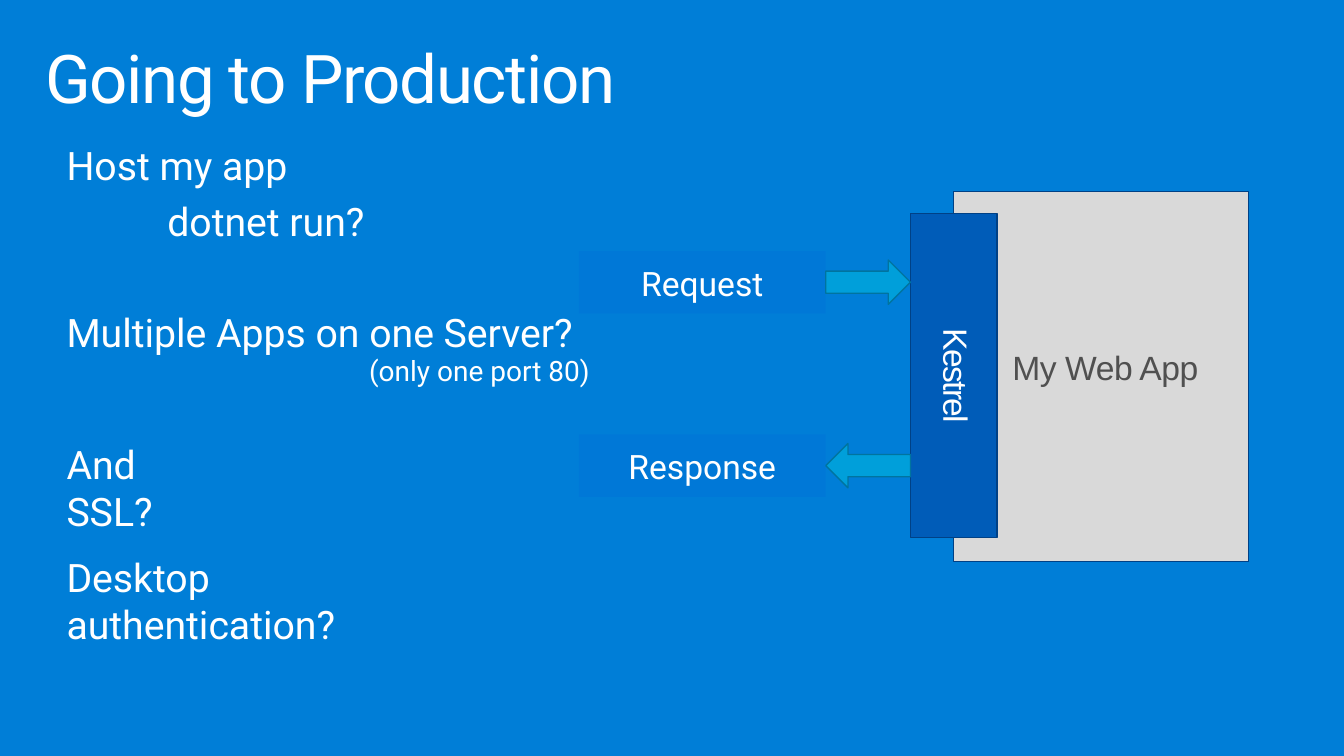
from dataclasses import dataclass

from lxml import etree
from pptx import Presentation
from pptx.dml.color import RGBColor
from pptx.enum import shapes, text
from pptx.oxml import ns
from pptx.util import Inches, Pt


@dataclass(frozen=True)
class Theme:
    background: str = "007ED7"
    light: str = "FFFFFF"
    dark: str = "505050"
    app: str = "D9D9D9"
    server: str = "005CB8"
    outline: str = "004186"
    arrow: str = "009FDA"
    arrow_outline: str = "00749F"
    label: str = "0078D7"
    font: str = "Roboto"
    diagram_font: str = "Arial"
    title_size: float = 48
    body_size: float = 28
    label_size: float = 24
    note_size: float = 20
    line_width: float = 0.96


@dataclass(frozen=True)
class Box:
    left: float
    top: float
    width: float
    height: float

    def lengths(self) -> list:
        return [Inches(v) for v in (self.left, self.top, self.width, self.height)]


@dataclass(frozen=True)
class Line:
    words: str
    size: float
    indent: float = 0.01
    before: float = 0.9
    spacing: float | Pt = 1.0


@dataclass(frozen=True)
class Question:
    box: Box
    lines: tuple[Line, ...]
    inset_top: float = 0.01


@dataclass(frozen=True)
class Message:
    words: str
    top: float
    arrow: shapes.MSO_SHAPE


THEME = Theme()
ARROW_HEIGHT = 0.44
LABEL_HEIGHT = 0.62

QUESTIONS = (
    Question(Box(0.65, 1.29, 3.31, 1.15),
             (Line("Host my app", THEME.body_size, before=7.8),
              Line("dotnet run?", THEME.body_size, indent=1.01, before=6.8)),
             inset_top=0.11),
    Question(Box(0.65, 3.06, 5.24, 0.8),
             (Line("Multiple Apps on one Server?", THEME.body_size, spacing=Pt(32.5)),
              Line("(only one port 80)", THEME.note_size, indent=3.01, before=0,
                   spacing=Pt(22.9)))),
    Question(Box(0.65, 4.36, 1.5, 0.95), (Line("And SSL?", THEME.body_size),)),
    Question(Box(0.65, 5.48, 4, 0.95), (Line("Desktop authentication?", THEME.body_size),)),
)

MESSAGES = (
    Message("Request", 2.49, shapes.MSO_SHAPE.RIGHT_ARROW),
    Message("Response", 4.31, shapes.MSO_SHAPE.LEFT_ARROW),
)


def place(shape, box: Box) -> None:
    shape.left, shape.top, shape.width, shape.height = box.lengths()


def set_frame(frame, insets=(0, 0, 0, 0), anchor=text.MSO_ANCHOR.TOP) -> None:
    """Insets are left, top, right, bottom in inches."""
    frame.word_wrap = True
    frame.auto_size = text.MSO_AUTO_SIZE.NONE
    frame.vertical_anchor = anchor
    (frame.margin_left, frame.margin_top,
     frame.margin_right, frame.margin_bottom) = map(Inches, insets)


def write(paragraph, words: str, *, size: float, color: str = THEME.light,
          font: str = THEME.font, align=text.PP_ALIGN.LEFT, indent: float = 0,
          before: float = 0, spacing=1.0, tracking: float = 0) -> None:
    paragraph.alignment = align
    paragraph.line_spacing = spacing
    paragraph.space_before = Pt(before)
    paragraph.space_after = Pt(0)
    properties = paragraph._p.get_or_add_pPr()
    properties.set("marL", str(Inches(indent)))
    properties.set("indent", "0")
    etree.SubElement(properties, ns.qn("a:buNone"))
    run = paragraph.add_run()
    run.text = words
    run.font.size = Pt(size)
    run.font.name = font
    run.font.bold = False
    run.font.color.rgb = RGBColor.from_string(color)
    if tracking:
        run._r.get_or_add_rPr().set("spc", str(round(tracking * 100)))


def add_block(slide, kind, box: Box, fill: str, outline: str | None = None):
    block = slide.shapes.add_shape(kind, *box.lengths())
    block.shadow.inherit = False
    block.fill.solid()
    block.fill.fore_color.rgb = RGBColor.from_string(fill)
    if outline:
        block.line.color.rgb = RGBColor.from_string(outline)
        block.line.width = Pt(THEME.line_width)
    else:
        block.line.fill.background()
    return block


def add_caption(slide, words: str, box: Box, *, vertical: bool = False, **style) -> None:
    frame = slide.shapes.add_textbox(*box.lengths()).text_frame
    set_frame(frame)
    if vertical:
        frame._txBody.bodyPr.set("vert", "vert")
    write(frame.paragraphs[0], words, size=THEME.label_size, font=THEME.diagram_font,
          indent=0.01, **style)


def fill_question(placeholder, question: Question) -> None:
    place(placeholder, question.box)
    frame = placeholder.text_frame
    set_frame(frame, (0, question.inset_top, 0, 0))
    for number, line in enumerate(question.lines):
        paragraph = frame.add_paragraph() if number else frame.paragraphs[0]
        write(paragraph, line.words, size=line.size, indent=line.indent,
              before=line.before, spacing=line.spacing)


def add_message(slide, message: Message) -> None:
    """Draws a label and the arrow that joins it to the server."""
    label = add_block(slide, shapes.MSO_SHAPE.RECTANGLE,
                      Box(5.74, message.top, 2.45, LABEL_HEIGHT), THEME.label)
    set_frame(label.text_frame, (0.2, 0.16, 0.2, 0.16))
    write(label.text_frame.paragraphs[0], message.words, size=THEME.label_size,
          align=text.PP_ALIGN.CENTER, spacing=0.9)
    arrow_top = message.top + (LABEL_HEIGHT - ARROW_HEIGHT) / 2
    add_block(slide, message.arrow, Box(8.19, arrow_top, 0.84, ARROW_HEIGHT),
              THEME.arrow, THEME.arrow_outline)


def main() -> None:
    deck = Presentation()
    deck.slide_width, deck.slide_height = Inches(13.33), Inches(7.5)
    slide = deck.slides.add_slide(deck.slide_layouts.get_by_name("Comparison"))
    slide.background.fill.solid()
    slide.background.fill.fore_color.rgb = RGBColor.from_string(THEME.background)

    title, *bodies = slide.placeholders
    place(title, Box(0.29, 0.32, 12.74, 0.98))
    set_frame(title.text_frame, (0.16, 0.1, 0.16, 0.1), text.MSO_ANCHOR.MIDDLE)
    write(title.text_frame.paragraphs[0], "Going to Production",
          size=THEME.title_size, spacing=0.9, tracking=-1)
    for body, question in zip(bodies, QUESTIONS):
        fill_question(body, question)

    add_block(slide, shapes.MSO_SHAPE.RECTANGLE, Box(9.46, 1.9, 2.92, 3.67),
              THEME.app, THEME.outline)
    add_caption(slide, "My Web App", Box(10.03, 3.44, 1.95, 0.42),
                color=THEME.dark, before=1, tracking=-0.3)
    add_block(slide, shapes.MSO_SHAPE.RECTANGLE, Box(9.03, 2.12, 0.86, 3.21),
              THEME.server, THEME.outline)
    add_caption(slide, "Kestrel", Box(9.28, 3.25, 0.34, 0.95), vertical=True,
                spacing=Pt(23.8), tracking=-1.2)
    for message in MESSAGES:
        add_message(slide, message)

    deck.save("out.pptx")


if __name__ == "__main__":
    main()
